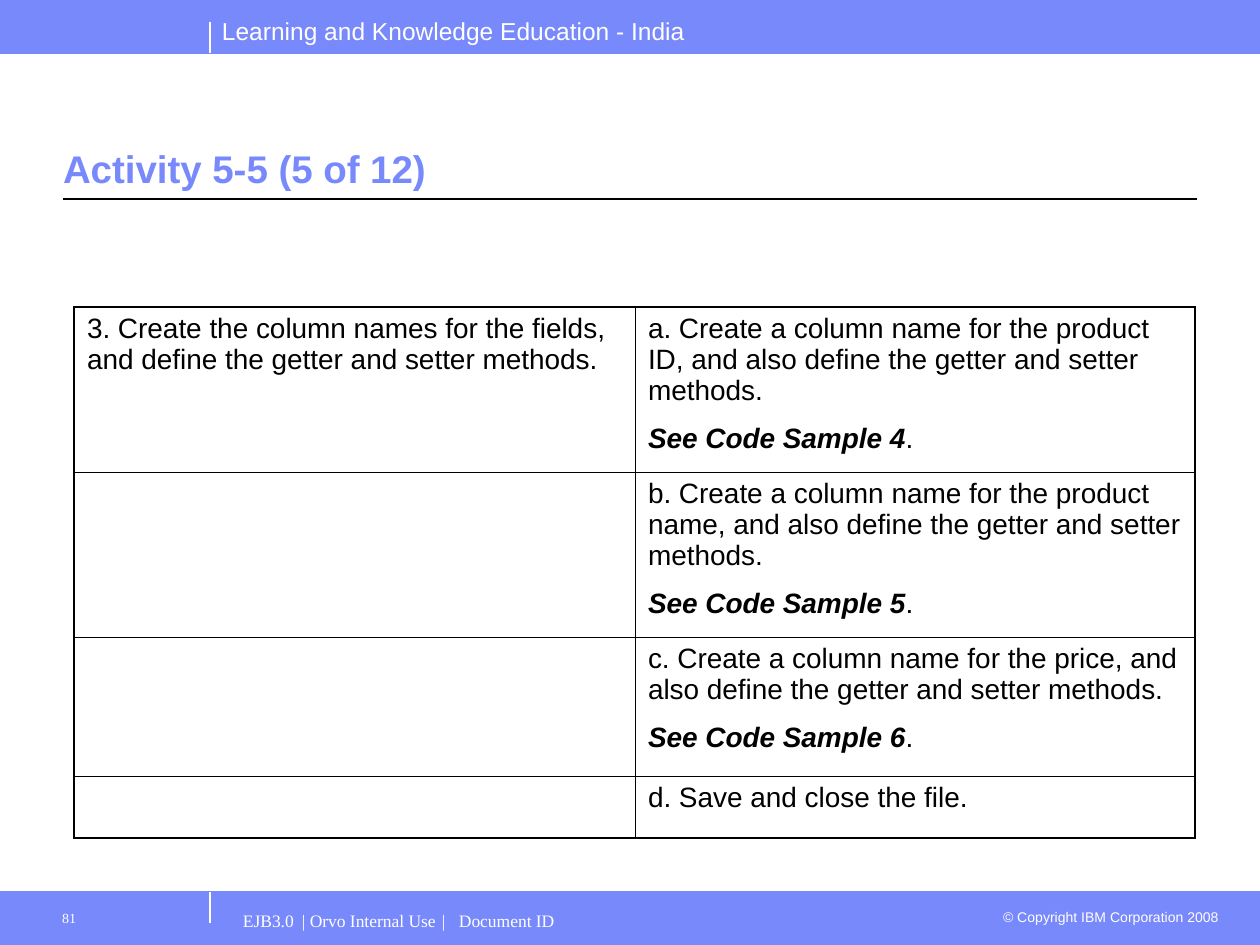
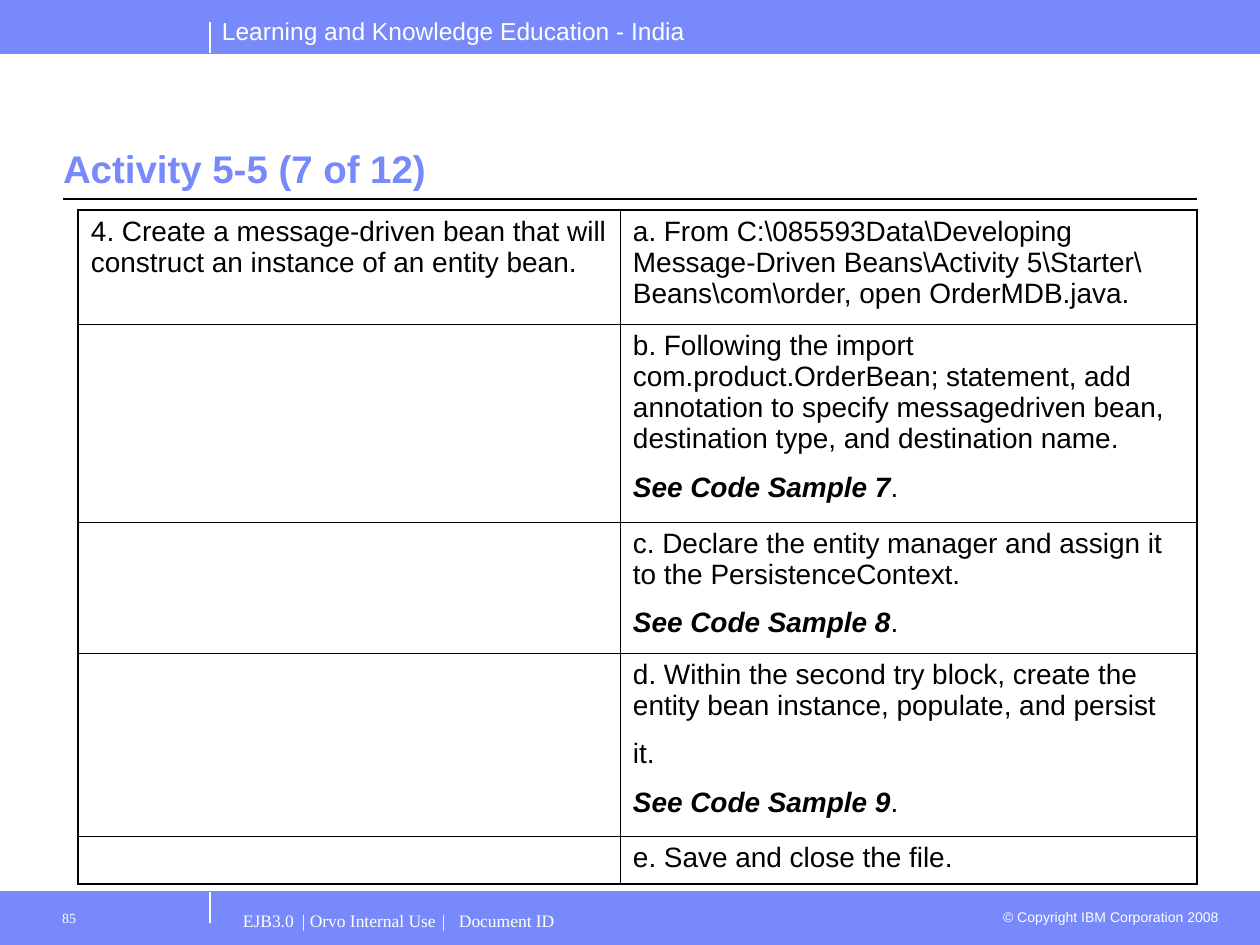
from lxml.etree import SubElement
from pptx import Presentation
from pptx.dml.color import RGBColor
from pptx.enum.shapes import MSO_CONNECTOR as Connector, MSO_SHAPE as Preset
from pptx.enum.text import MSO_ANCHOR as Anchor, PP_ALIGN as Align
from pptx.oxml.ns import qn
from pptx.util import Emu, Pt

PX = 914400 / 126
WIDTH, HEIGHT = 1260, 945
BAND_HEIGHT = 53
FOOTER_TOP = HEIGHT - BAND_HEIGHT
DIVIDER_X = 210
DIVIDER_LENGTH = 31

PERIWINKLE = RGBColor(0x78, 0x89, 0xFB)
WHITE = RGBColor(0xFF, 0xFF, 0xFF)
BLACK = RGBColor(0x00, 0x00, 0x00)
SANS, SERIF = "Arial", "Times New Roman"
OUTER_BORDER, INNER_BORDER = Pt(1.08), Pt(0.45)

FOOTER_TEXT = "EJB3.0\t| Orvo Internal Use\t|\tDocument ID"
FOOTER_TABS = (59, 199, 216)

ACTIVITIES = [
    {
        "title": "Activity 5-5 (5 of 12)",
        "page": "81",
        "origin": (74, 307),
        "columns": (561, 560),
        "rows": (165, 165, 139, 62),
        "task": "3. Create the column names for the fields, and define the getter and setter methods.",
        "steps": [
            (["a. Create a column name for the product ID, and also define the getter and setter methods."], 4),
            (["b. Create a column name for the product name, and also define the getter and setter methods."], 5),
            (["c. Create a column name for the price, and also define the getter and setter methods."], 6),
            (["d. Save and close the file."], None),
        ],
    },
    {
        "title": "Activity 5-5 (7 of 12)",
        "page": "85",
        "origin": (78, 210),
        "columns": (542, 577),
        "rows": (114, 198, 131, 183, 48),
        "task": "4. Create a message-driven bean that will construct an instance of an entity bean.",
        "steps": [
            ([r"a. From C:\085593Data\Developing Message-Driven Beans\Activity 5\Starter\ Beans\com\order, "
              "open OrderMDB.java."], None),
            (["b. Following the import com.product.OrderBean; statement, add annotation to specify "
              "messagedriven bean, destination type, and destination name."], 7),
            (["c. Declare the entity manager and assign it to the PersistenceContext."], 8),
            (["d. Within the second try block, create the entity bean instance, populate, and persist",
              "it."], 9),
            (["e. Save and close the file."], None),
        ],
    },
]


def px(*lengths):
    return [Emu(round(length * PX)) for length in lengths]


def add_run(paragraph, text, size=16, font=SANS, color=BLACK, bold=False, italic=False):
    run = paragraph.add_run()
    run.text = text
    run.font.size = Pt(size)
    run.font.name = font
    run.font.color.rgb = color
    run.font.bold = bold
    run.font.italic = italic


def set_insets(frame, left, top, right, bottom):
    frame.margin_left, frame.margin_top, frame.margin_right, frame.margin_bottom = px(
        left, top, right, bottom)


def add_label(slide, box, text, insets=(13, 6, 13, 6), align=Align.LEFT, tabs=(), **style):
    frame = slide.shapes.add_textbox(*px(*box)).text_frame
    frame.word_wrap = True
    set_insets(frame, *insets)
    paragraph = frame.paragraphs[0]
    paragraph.alignment = align
    if tabs:
        tab_list = SubElement(paragraph._p.get_or_add_pPr(), qn("a:tabLst"))
        for position in px(*tabs):
            SubElement(tab_list, qn("a:tab"), pos=str(position), algn="l")
    add_run(paragraph, text, color=WHITE, **style)


def add_band(slide, top):
    band = slide.shapes.add_shape(Preset.RECTANGLE, *px(0, top, WIDTH, BAND_HEIGHT))
    band.shadow.inherit = False
    band.fill.solid()
    band.fill.fore_color.rgb = PERIWINKLE
    band.line.color.rgb = PERIWINKLE
    band.line.width = Pt(0.75)


def add_line(slide, start, end, color, width=0.75):
    line = slide.shapes.add_connector(Connector.STRAIGHT, *px(*start, *end))
    line.line.color.rgb = color
    line.line.width = Pt(width)
    SubElement(line._element.spPr, qn("a:effectLst"))


def add_frame(slide, page):
    for top, edge, divider_top in (
        (FOOTER_TOP, FOOTER_TOP, FOOTER_TOP),
        (0, BAND_HEIGHT, BAND_HEIGHT - DIVIDER_LENGTH),
    ):
        add_band(slide, top)
        add_line(slide, (0, edge), (WIDTH, edge), PERIWINKLE, 0.5)
        add_line(slide, (DIVIDER_X, divider_top + DIVIDER_LENGTH), (DIVIDER_X, divider_top), WHITE)
    add_line(slide, (63, 199), (1197, 199), BLACK)
    add_label(slide, (209, 10, 500, 43), "Learning and Knowledge Education - India", size=14)
    add_label(slide, (987, 903, 245, 30), "© Copyright IBM Corporation 2008",
              align=Align.RIGHT, size=8)
    add_label(slide, (230, 901, 756, 44), FOOTER_TEXT, insets=(13, 9, 13, 6),
              tabs=FOOTER_TABS, size=10, font=SERIF)
    add_label(slide, (42, 901, 168, 44), page, insets=(20, 9, 13, 6), size=8, font=SERIF)


def set_title(slide, text):
    title = slide.shapes.title
    title.left, title.top, title.width, title.height = px(63, 81, 1134, 116)
    frame = title.text_frame
    frame.vertical_anchor = Anchor.BOTTOM
    set_insets(frame, 0, 6, 0, 6)
    frame.paragraphs[0].alignment = Align.LEFT
    add_run(frame.paragraphs[0], text, size=22, color=PERIWINKLE, bold=True)


def set_borders(cell, outer_sides):
    properties = cell._tc.get_or_add_tcPr()
    for side in "LRTB":
        width = OUTER_BORDER if side in outer_sides else INNER_BORDER
        border = SubElement(properties, qn(f"a:ln{side}"), w=str(width))
        fill = SubElement(border, qn("a:solidFill"))
        SubElement(fill, qn("a:srgbClr"), val=str(BLACK))


def fill_cell(cell, texts, sample=None):
    set_insets(cell, 13, 6, 13, 6)
    frame = cell.text_frame
    count = len(texts) + (sample is not None)
    for _ in range(count - 1):
        frame.add_paragraph()
    for paragraph in frame.paragraphs:
        paragraph.space_after = Pt(10)
    for paragraph, text in zip(frame.paragraphs, texts):
        add_run(paragraph, text)
    if sample is not None:
        add_run(frame.paragraphs[-1], f"See Code Sample {sample}", bold=True, italic=True)
        add_run(frame.paragraphs[-1], ".")
    if not count:
        frame.paragraphs[0]._p.get_or_add_endParaRPr().set("sz", "1600")


def add_steps_table(slide, activity):
    columns, rows, steps = activity["columns"], activity["rows"], activity["steps"]
    table = slide.shapes.add_table(
        len(rows), len(columns), *px(*activity["origin"], sum(columns), sum(rows))).table
    table.first_row = table.horz_banding = False
    for column, width in zip(table.columns, px(*columns)):
        column.width = width
    for row, height in zip(table.rows, px(*rows)):
        row.height = height
    for index, (texts, sample) in enumerate(steps):
        task_cell, step_cell = table.rows[index].cells
        fill_cell(task_cell, [activity["task"]] if index == 0 else [])
        fill_cell(step_cell, texts, sample)
        edges = ("T" if index == 0 else "") + ("B" if index == len(steps) - 1 else "")
        for cell, side in ((task_cell, "L"), (step_cell, "R")):
            set_borders(cell, edges + side)
            cell.fill.background()


def main():
    presentation = Presentation()
    presentation.slide_width, presentation.slide_height = px(WIDTH, HEIGHT)
    title_only = presentation.slide_layouts[5]
    for activity in ACTIVITIES:
        slide = presentation.slides.add_slide(title_only)
        add_frame(slide, activity["page"])
        set_title(slide, activity["title"])
        add_steps_table(slide, activity)
    presentation.save("out.pptx")


if __name__ == "__main__":
    main()
